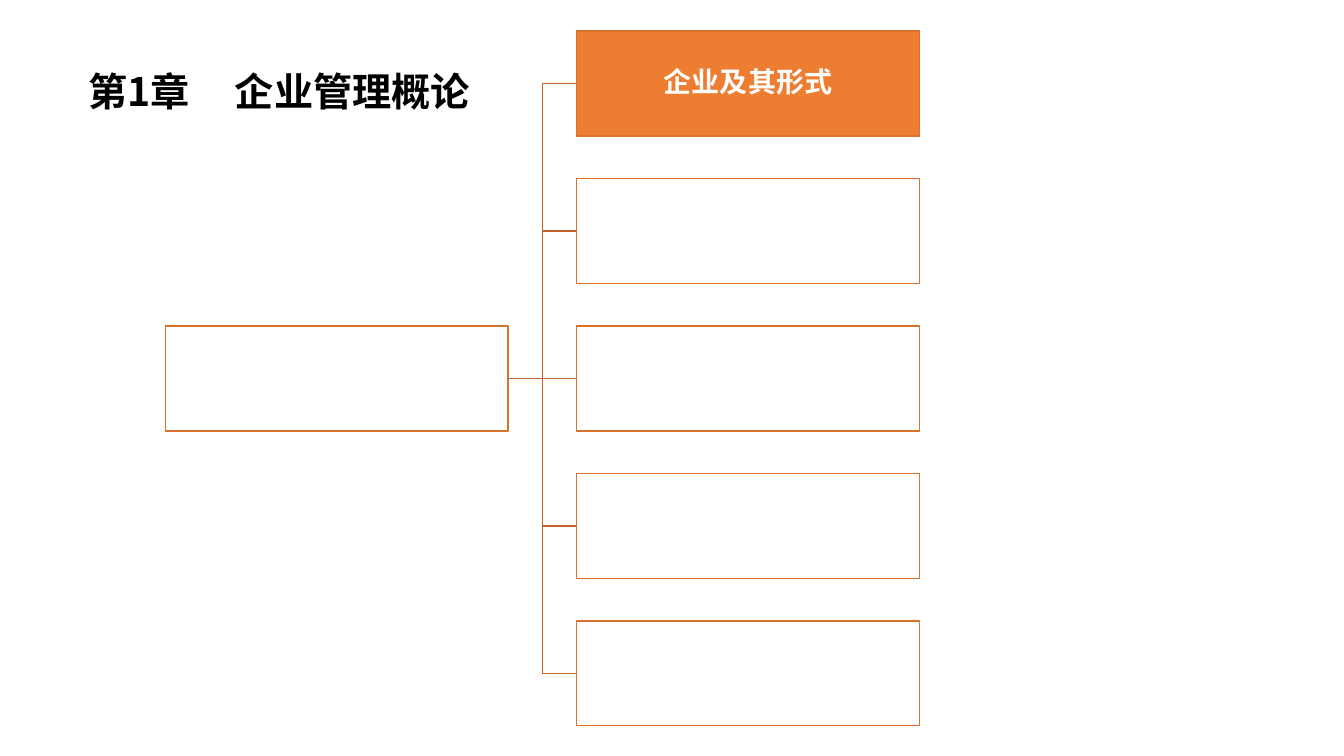
from lxml.etree import SubElement
from pptx import Presentation
from pptx.dml.color import RGBColor
from pptx.enum.shapes import MSO_CONNECTOR, MSO_SHAPE
from pptx.enum.text import MSO_ANCHOR, PP_ALIGN
from pptx.oxml.ns import qn
from pptx.util import Inches, Pt

WHITE = RGBColor(0xFF, 0xFF, 0xFF)
BLACK = RGBColor(0x00, 0x00, 0x00)
ORANGE = RGBColor(0xED, 0x7D, 0x31)
BORDER = RGBColor(0xD7, 0x71, 0x2C)
BRANCH = RGBColor(0xBE, 0x64, 0x27)


class ChapterPage:
    font_name = "Noto Sans CJK SC"
    line_width = Pt(1)
    left, top = 1.64, 0.31
    box_width, box_height = 3.4, 1.04
    column_step, row_step = 4.08, 5.85 / 4

    def __init__(self, deck):
        self.page = deck.slides.add_slide(deck.slide_layouts[6])

    def corner(self, column, row):
        return (Inches(self.left + column * self.column_step),
                Inches(self.top + row * self.row_step))

    def add_span(self, para, text, size, color):
        span = para.add_run()
        span.text = text
        span.font.size = Pt(size)
        span.font.bold = True
        span.font.color.rgb = color
        span.font.name = self.font_name
        SubElement(span.font._element, qn("a:ea"), typeface=self.font_name)

    def branch(self, parent_row, child_row):
        x, y = self.corner(0, parent_row)
        start_x, start_y = x + Inches(self.box_width), y + Inches(self.box_height / 2)
        end_x, end_y = self.corner(1, child_row)
        end_y += Inches(self.box_height / 2)
        if parent_row == child_row:
            line = self.page.shapes.add_connector(
                MSO_CONNECTOR.STRAIGHT, start_x, start_y, end_x, end_y)
            line.line.color.rgb = BRANCH
            SubElement(line._element.spPr, qn("a:effectLst"))
        else:
            middle = (start_x + end_x) // 2
            outline = self.page.shapes.build_freeform(start_x, start_y)
            outline.add_line_segments(
                [(middle, start_y), (middle, end_y), (end_x, end_y)], close=False)
            line = outline.convert_to_shape()
            line.fill.background()
            line.shadow.inherit = False
            line.line.color.rgb = BRANCH
        line.line.width = self.line_width

    def node(self, column, row, fill=WHITE, text=None):
        box = self.page.shapes.add_shape(
            MSO_SHAPE.RECTANGLE, *self.corner(column, row),
            Inches(self.box_width), Inches(self.box_height))
        box.shadow.inherit = False
        box.fill.solid()
        box.fill.fore_color.rgb = fill
        box.line.color.rgb = BORDER
        box.line.width = self.line_width
        if text:
            frame = box.text_frame
            frame.word_wrap = True
            frame.vertical_anchor = MSO_ANCHOR.MIDDLE
            frame.margin_left = frame.margin_right = Inches(0.01)
            frame.margin_top = frame.margin_bottom = Inches(0.01)
            para = frame.paragraphs[0]
            para.alignment = PP_ALIGN.CENTER
            para.line_spacing = 0.9
            self.add_span(para, text, 20, WHITE)

    def title(self, text, tab):
        box = self.page.shapes.add_shape(
            MSO_SHAPE.ROUNDED_RECTANGLE,
            Inches(0.74), Inches(0.48), Inches(7.9), Inches(0.85))
        box.shadow.inherit = False
        box.fill.background()
        box.line.fill.background()
        frame = box.text_frame
        frame.word_wrap = True
        frame.vertical_anchor = MSO_ANCHOR.MIDDLE
        para = frame.paragraphs[0]
        para.alignment = PP_ALIGN.JUSTIFY
        tabs = SubElement(para._p.get_or_add_pPr(), qn("a:tabLst"))
        SubElement(tabs, qn("a:tab"), pos=str(Inches(tab)), algn="l")
        self.add_span(para, text, 28, BLACK)


def main():
    deck = Presentation()
    deck.slide_width, deck.slide_height = Inches(13.33), Inches(7.5)
    chapter = ChapterPage(deck)
    for row in reversed(range(5)):
        chapter.branch(2, row)
    chapter.node(0, 2)
    chapter.node(1, 0, ORANGE, "企业及其形式")
    for row in range(1, 5):
        chapter.node(1, row)
    chapter.title("第1章\t企业管理概论", 1.45)
    deck.save("out.pptx")


if __name__ == "__main__":
    main()
